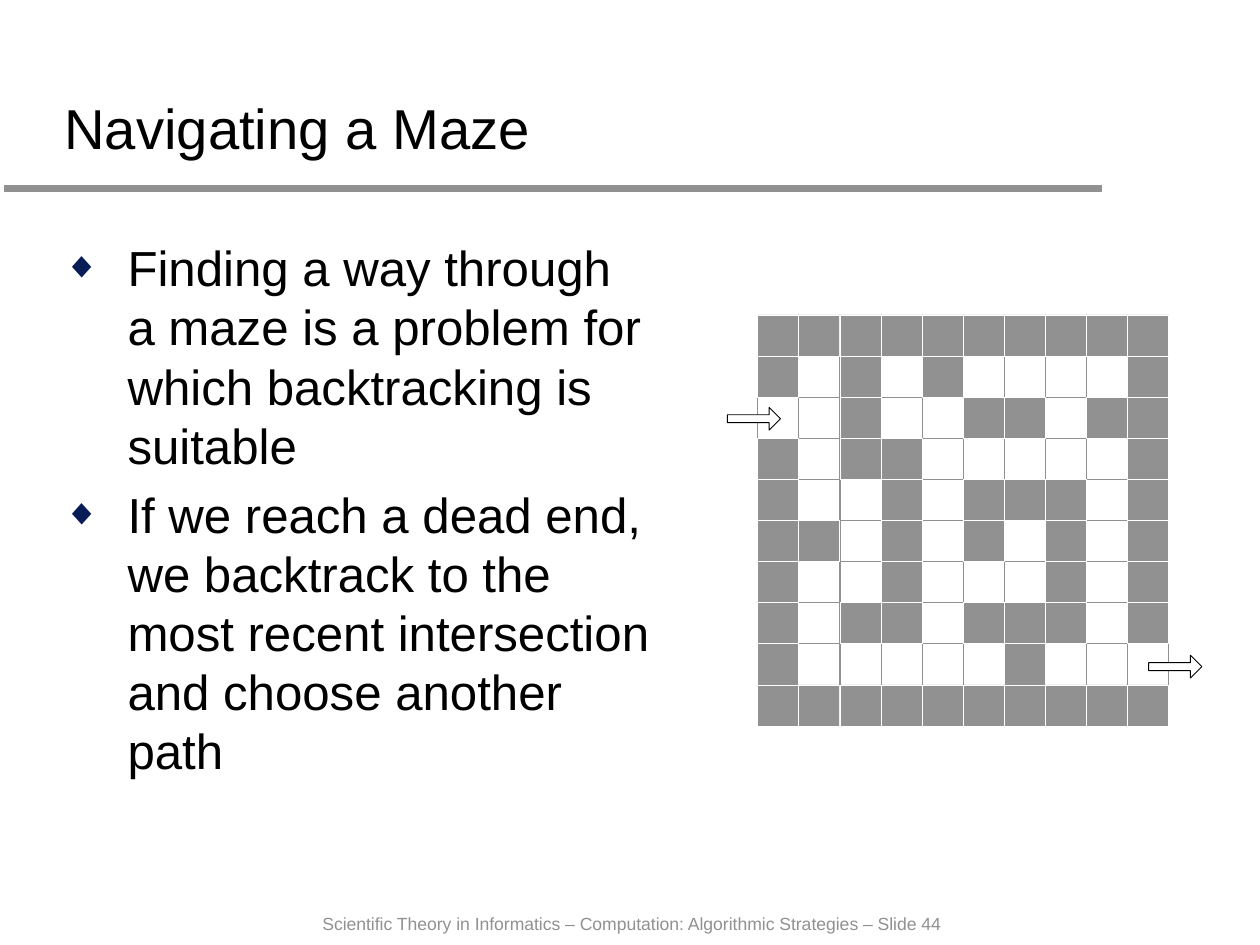
from pptx import Presentation
from pptx.dml.color import RGBColor
from pptx.enum.shapes import MSO_CONNECTOR as CONNECTOR, MSO_SHAPE as SHAPE
from pptx.enum.text import MSO_ANCHOR as ANCHOR, PP_ALIGN as ALIGN
from pptx.oxml.ns import qn
from pptx.util import Inches, Pt
from lxml import etree

COLORS = {"black": "000000", "white": "FFFFFF", "gray": "919191", "navy": "081D58"}

presentation = Presentation()
presentation.slide_width = Inches(9.96)
presentation.slide_height = Inches(7.47)
slide = presentation.slides.add_slide(presentation.slide_layouts[6])


def add_text(box, paragraphs, size, color="black", anchor=ANCHOR.TOP,
             align=ALIGN.LEFT, space_before=0, bullet=None):
    frame = slide.shapes.add_textbox(*map(Inches, box)).text_frame
    frame.word_wrap = True
    frame.vertical_anchor = anchor
    for index, text in enumerate(paragraphs):
        paragraph = frame.paragraphs[0] if index == 0 else frame.add_paragraph()
        paragraph.alignment = align
        paragraph.space_before = Pt(space_before)
        run = paragraph.add_run()
        run.text = text
        run.font.name = "Arial"
        run.font.size = Pt(size)
        run.font.color.rgb = RGBColor.from_string(COLORS[color])
        if bullet:
            properties = paragraph._p.get_or_add_pPr()
            properties.set("marL", str(Inches(0.51)))
            properties.set("indent", str(-Inches(0.51)))
            bullet_color = etree.SubElement(properties, qn("a:buClr"))
            etree.SubElement(bullet_color, qn("a:srgbClr"), val=COLORS["navy"])
            etree.SubElement(properties, qn("a:buSzPct"), val="75000")
            etree.SubElement(properties, qn("a:buFont"), typeface="Arial")
            etree.SubElement(properties, qn("a:buChar"), char=bullet)


def add_shape(kind, left, top, width, height, line, fill=None):
    shape = slide.shapes.add_shape(kind, *map(Inches, (left, top, width, height)))
    shape.shadow.inherit = False
    shape.line.color.rgb = RGBColor.from_string(COLORS[line])
    shape.line.width = Pt(0.5)
    if fill:
        shape.fill.solid()
        shape.fill.fore_color.rgb = RGBColor.from_string(COLORS[fill])
    else:
        shape.fill.background()
    return shape


# Rule under the title
rule = slide.shapes.add_connector(
    CONNECTOR.STRAIGHT, Inches(0.03), Inches(1.49), Inches(8.71), Inches(1.49))
rule.line.color.rgb = RGBColor.from_string(COLORS["gray"])
rule.line.width = Pt(4)
etree.SubElement(rule._element.spPr, qn("a:effectLst"))

# Footer, title and bullets
add_text((2.45, 7.17, 5.23, 0.27),
         ["Scientific Theory in Informatics – Computation: Algorithmic Strategies – Slide 44"],
         size=10, color="gray", align=ALIGN.JUSTIFY, space_before=2)
add_text((0.41, 0.29, 9.15, 1.03), ["Navigating a Maze"], size=32, anchor=ANCHOR.BOTTOM)
add_text((0.4, 1.83, 4.85, 4.5),
         ["Finding a way through a maze is a problem for which backtracking is suitable",
          "If we reach a dead end, we backtrack to the most recent intersection "
          "and choose another path"],
         size=28, space_before=5.6, bullet="◆")

# Maze: "#" is a wall, "." is a path
MAZE = [
    "##########",
    "#.#.#....#",
    "..#..##.##",
    "#.##.....#",
    "#..#.###.#",
    "##.#.#.#.#",
    "#..#...#.#",
    "#.##.###.#",
    "#.....#...",
    "##########",
]
MAZE_LEFT, MAZE_TOP = 5.99, 2.49
CELL = 3.25 / len(MAZE)


def add_cells(kind, line, fill=None):
    for row, cells in enumerate(MAZE):
        for column, cell in enumerate(cells):
            if cell == kind:
                add_shape(SHAPE.RECTANGLE, MAZE_LEFT + column * CELL,
                          MAZE_TOP + row * CELL, CELL, CELL, line, fill)


add_cells(".", line="gray")

# Entrance and exit arrows
for left, top in [(5.75, 3.22), (9.08, 5.18)]:
    arrow = add_shape(SHAPE.RIGHT_ARROW, left, top, 0.42, 0.18, "black", "white")
    arrow.adjustments[0] = 0.35
    arrow.adjustments[1] = 0.5

add_cells("#", line="white", fill="gray")

presentation.save("out.pptx")
